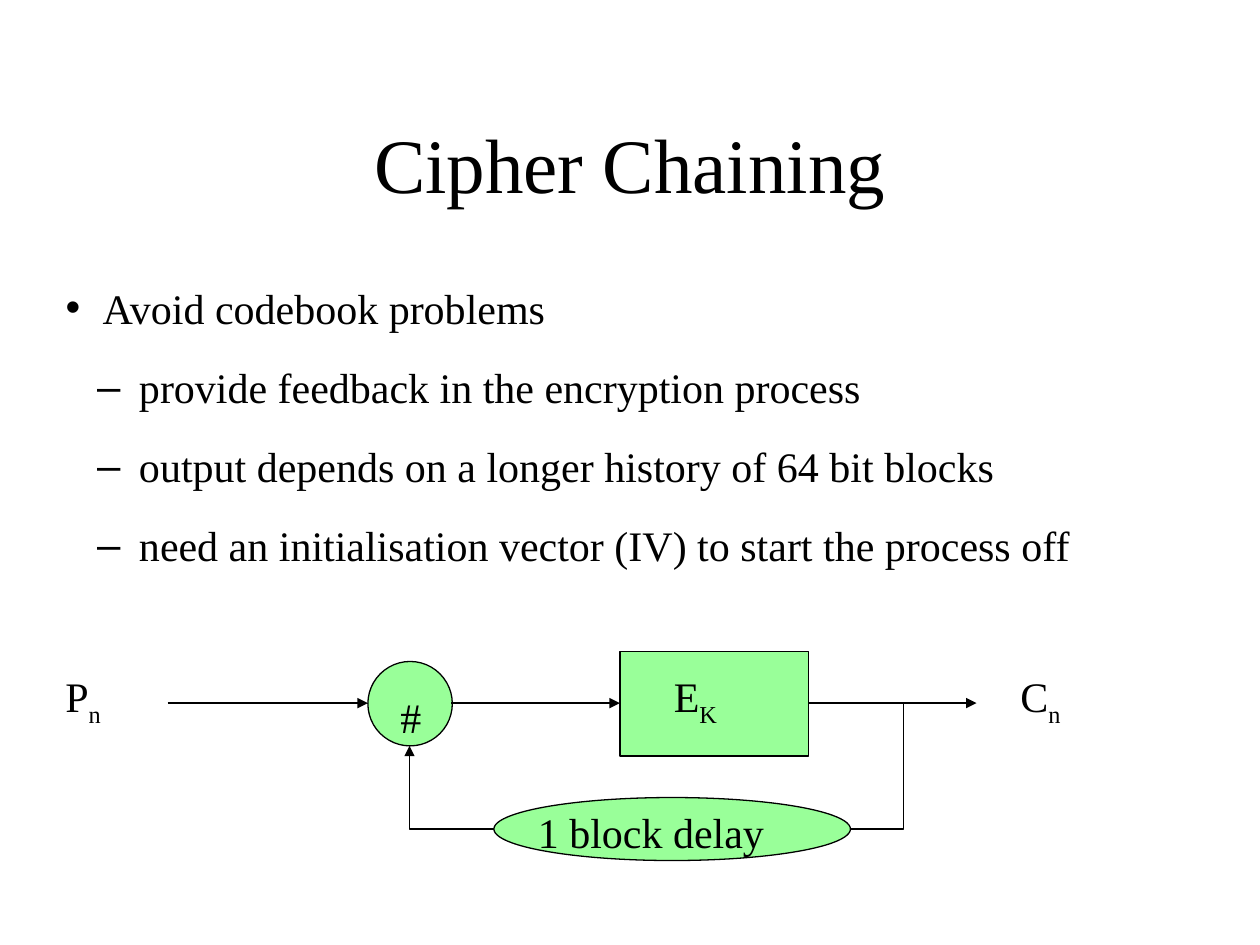
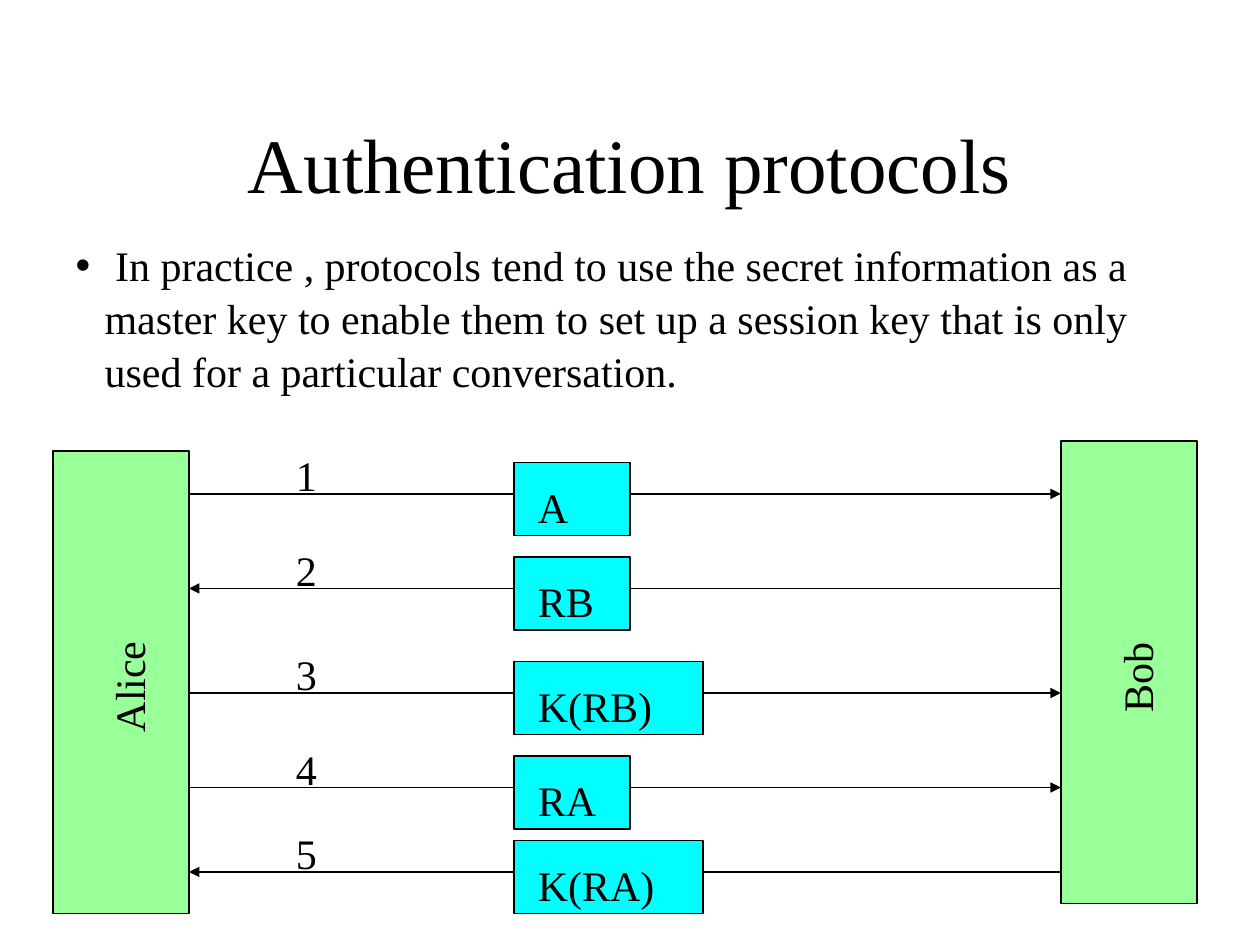
from lxml import etree
from pptx import Presentation
from pptx.dml.color import RGBColor
from pptx.enum.shapes import MSO_CONNECTOR, MSO_SHAPE
from pptx.enum.text import MSO_ANCHOR, MSO_AUTO_SIZE, PP_ALIGN
from pptx.oxml.ns import qn
from pptx.util import Inches, Pt

RECTANGLE, OVAL = MSO_SHAPE.RECTANGLE, MSO_SHAPE.OVAL
STRAIGHT = MSO_CONNECTOR.STRAIGHT
MIDDLE, TOP = MSO_ANCHOR.MIDDLE, MSO_ANCHOR.TOP
CENTER, LEFT = PP_ALIGN.CENTER, PP_ALIGN.LEFT
NO_FIT = MSO_AUTO_SIZE.NONE

COLORS = {"ink": "000000", "paper": "FFFFFF", "node": "99FF99", "message": "00FFFF"}
FONT = "Times New Roman"
TITLE_SIZE, TEXT_SIZE = 44, 24
LINE_SPACING = 1.05
LEVELS = [("•", 0.23, 0.23), ("–", 0.5, 0.25)]


def color(name):
    """Return a palette colour."""
    return RGBColor.from_string(COLORS[name])


def place(shape, box):
    """Move a shape to a box of left, top, width and height in inches."""
    shape.left, shape.top, shape.width, shape.height = map(Inches, box)


def style_runs(paragraph, size):
    """Give the runs of a paragraph the shared font."""
    for run in paragraph.runs:
        run.font.name = FONT
        run.font.size = Pt(size)
        run.font.color.rgb = color("ink")


def style_line(line, arrow_end=None):
    """Draw a thin black line, with an arrowhead at headEnd or tailEnd if named."""
    line.color.rgb = color("ink")
    line.width = Pt(0.75)
    if arrow_end:
        etree.SubElement(line._get_or_add_ln(), qn(f"a:{arrow_end}"), type="triangle")


def add_node(shapes, kind, box, fill):
    """Add a filled, outlined shape."""
    node = shapes.add_shape(kind, *map(Inches, box))
    node.shadow.inherit = False
    node.fill.solid()
    node.fill.fore_color.rgb = color(fill)
    style_line(node.line)


def add_arrow(shapes, left, right, y, arrow_end="tailEnd"):
    """Add a horizontal arrow."""
    arrow = shapes.add_connector(STRAIGHT, *map(Inches, (left, y, right, y)))
    style_line(arrow.line, arrow_end)
    etree.SubElement(arrow._element.spPr, qn("a:effectLst"))


def add_label(shapes, text, box, subscript="", rotation=0):
    """Add a text label, with an optional subscript."""
    label = shapes.add_textbox(*map(Inches, box))
    label.rotation = rotation
    label.text_frame.word_wrap = True
    label.text_frame.text = text
    paragraph = label.text_frame.paragraphs[0]
    paragraph.line_spacing = LINE_SPACING
    if subscript:
        lowered = paragraph.add_run()
        lowered.text = subscript
        lowered._r.get_or_add_rPr().set("baseline", "-25000")
    style_runs(paragraph, TEXT_SIZE)


def add_topic(deck, title, points, points_box):
    """Add a slide with a title and a list of (level, text) points."""
    slide = deck.slides.add_slide(deck.slide_layouts[1])
    slide.background.fill.solid()
    slide.background.fill.fore_color.rgb = color("paper")
    heading, body = slide.shapes.title, slide.placeholders[1]
    place(heading, (0.75, 0.67, 8.5, 1.25))
    heading.text_frame.text = title
    heading.text_frame.vertical_anchor = MIDDLE
    heading.text_frame.auto_size = NO_FIT
    heading.text_frame.paragraphs[0].alignment = CENTER
    style_runs(heading.text_frame.paragraphs[0], TITLE_SIZE)

    place(body, points_box)
    body.text_frame.text = "\n".join(text for _, text in points)
    body.text_frame.vertical_anchor = TOP
    body.text_frame.auto_size = NO_FIT
    for index, (paragraph, (level, _)) in enumerate(zip(body.text_frame.paragraphs, points)):
        bullet, margin, hanging = LEVELS[level]
        paragraph.level = level
        paragraph.alignment = LEFT
        paragraph.line_spacing = LINE_SPACING
        paragraph.space_before = Pt(15 if index else 0)
        properties = paragraph._p.get_or_add_pPr()
        properties.set("marL", str(Inches(margin)))
        properties.set("indent", str(-Inches(hanging)))
        etree.SubElement(properties, qn("a:buChar"), char=bullet)
        style_runs(paragraph, TEXT_SIZE)
    return slide


def add_chaining_diagram(shapes, left, top):
    """Draw the encryption path and its delayed feedback loop."""
    axis = top + 0.41
    label_top = top + 0.08
    add_node(shapes, OVAL, (left + 2.5, top + 0.08, 0.67, 0.67), "node")
    add_node(shapes, RECTANGLE, (left + 4.5, top, 1.5, 0.83), "node")
    for start, end in [(0.91, 2.5), (3.16, 4.5), (6, 7.33)]:
        add_arrow(shapes, left + start, left + end, axis)

    corners = [(6.75, 0), (6.75, 1), (2.83, 1), (2.83, 0.34)]
    route = [(Inches(left + x), Inches(axis + y)) for x, y in corners]
    builder = shapes.build_freeform(*route[0])
    builder.add_line_segments(route[1:], close=False)
    feedback = builder.convert_to_shape()
    feedback.shadow.inherit = False
    feedback.fill.background()
    style_line(feedback.line, "tailEnd")

    add_node(shapes, OVAL, (left + 3.5, top + 1.16, 2.83, 0.5), "node")
    for text, subscript, x in [("P", "n", 0), ("E", "K", 4.83), ("C", "n", 7.58)]:
        add_label(shapes, text, (left + x, label_top, 1, 0.56), subscript)
    add_label(shapes, "#", (left + 2.66, top + 0.25, 0.4, 0.5))
    add_label(shapes, "1 block delay", (left + 3.75, top + 1.16, 2.33, 0.5))


def add_party(shapes, name, left, top, name_top):
    """Draw one party as a tall bar with its name turned upwards."""
    add_node(shapes, RECTANGLE, (left, top, 1.08, 3.67), "node")
    add_label(shapes, name, (left + 0.04, name_top, 1.08, 0.5), rotation=270)


def add_message(shapes, number, text, left, right, y, arrow_end):
    """Draw one numbered message between the parties."""
    parts = shapes.add_group_shape().shapes
    width = 1.5 if "(" in text else 0.92
    add_arrow(parts, left, right, y, arrow_end)
    add_node(parts, RECTANGLE, (left + 2.58, y - 0.25, width, 0.58), "message")
    add_label(parts, text, (left + 2.67, y - 0.17, width - 0.17, 0.5))
    add_label(parts, str(number), (left + 0.75, y - 0.42, 0.5, 0.5))


def add_exchange(shapes, left, top):
    """Draw the two parties and the messages they exchange."""
    add_party(shapes, "Alice", left, top + 0.08, top + 1.62)
    add_party(shapes, "Bob", left + 8, top, top + 1.46)
    messages = [
        ("A", 0.42, "tailEnd"),
        ("RB", 1.17, "headEnd"),
        ("K(RB)", 2, "tailEnd"),
        ("RA", 2.75, "tailEnd"),
        ("K(RA)", 3.42, "headEnd"),
    ]
    for number, (text, y, arrow_end) in enumerate(messages, 1):
        add_message(shapes, number, text, left + 1.08, left + 8, top + y, arrow_end)


def main():
    """Build both slides and save the deck."""
    deck = Presentation()
    deck.slide_width, deck.slide_height = Inches(10), Inches(7.5)

    chaining = add_topic(deck, "Cipher Chaining", [
        (0, " Avoid codebook problems"),
        (1, " provide feedback in the encryption process"),
        (1, " output depends on a longer history of 64 bit blocks"),
        (1, " need an initialisation vector (IV) to start the process off"),
    ], (0.42, 2.17, 9.17, 2.33))
    add_chaining_diagram(chaining.shapes, 0.42, 5.17)

    protocols = add_topic(deck, "Authentication protocols", [
        (0, " In practice , protocols tend to use the secret information as a master key "
            "to enable them to set up a session key that is only used for a particular "
            "conversation."),
    ], (0.5, 1.83, 9.08, 1.3))
    add_exchange(protocols.shapes, 0.42, 3.5)

    deck.save("out.pptx")


if __name__ == "__main__":
    main()
